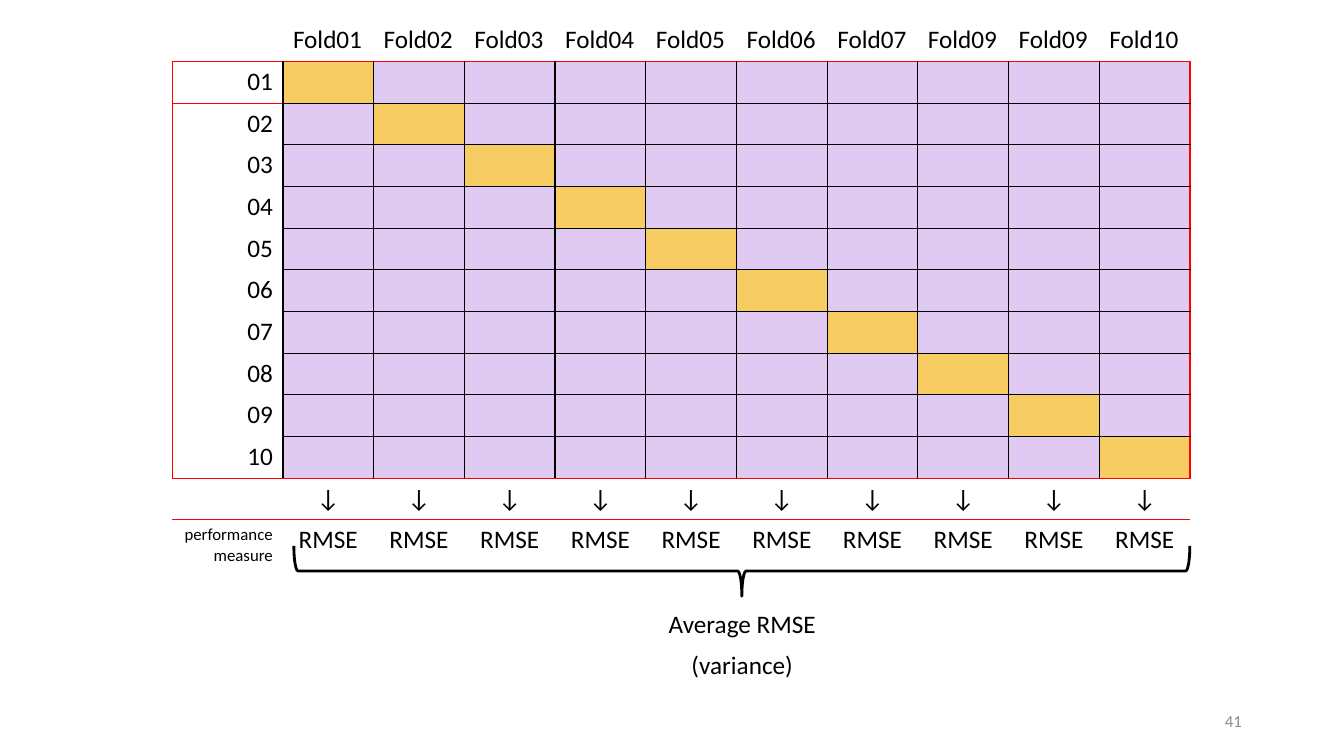
import pptx
import pptx.dml.color
import pptx.enum.shapes
import pptx.enum.text
import pptx.oxml.ns
import pptx.util
from lxml import etree

Cm = pptx.util.Cm
Pt = pptx.util.Pt
RGBColor = pptx.dml.color.RGBColor
Align = pptx.enum.text.PP_ALIGN
Anchor = pptx.enum.text.MSO_ANCHOR
qn = pptx.oxml.ns.qn

COLORS = {
    "text": "000000",
    "grid": "000000",
    "frame": "FF0000",
    "training": "E0CAF2",
    "held_out": "F7CD63",
    "page_number": "8C8C8C",
}
FOLDS = ["Fold01", "Fold02", "Fold03", "Fold04", "Fold05",
         "Fold06", "Fold07", "Fold09", "Fold09", "Fold10"]
COUNT = len(FOLDS)
NO_STYLE = "{2D5ABB26-0587-4C30-8999-92F81FD0307C}"


def write_text(text_frame, text, size, alignment, color="text"):
    text_frame.text = text
    for paragraph in text_frame.paragraphs:
        paragraph.alignment = alignment
        font_format = {"name": "Calibri", "size": Pt(size)}
        for attribute, value in font_format.items():
            setattr(paragraph.font, attribute, value)
            for run in paragraph.runs:
                setattr(run.font, attribute, value)
        for run in paragraph.runs:
            run.font.color.rgb = RGBColor.from_string(COLORS[color])


def draw_borders(cell, borders):
    properties = cell._tc.get_or_add_tcPr()
    for side in "LRTB":
        if side in borders:
            line = etree.SubElement(properties, qn(f"a:ln{side}"), w=str(Pt(1)))
            fill = etree.SubElement(line, qn("a:solidFill"))
            etree.SubElement(fill, qn("a:srgbClr"), val=COLORS[borders[side]])


presentation = pptx.Presentation()
presentation.slide_width = Cm(33.87)
presentation.slide_height = Cm(19.05)
slide = presentation.slides.add_slide(presentation.slide_layouts[6])

table = slide.shapes.add_table(
    COUNT + 3, COUNT + 1, Cm(4.34), Cm(0.5), Cm(25.65), Cm(13.65)).table
table.first_row = False
table.horz_banding = False
table._tbl.tblPr.find(qn("a:tableStyleId")).text = NO_STYLE
for row in table.rows:
    row.height = Cm(1.05)
for column in table.columns:
    column.width = Cm(22.86 / COUNT)
table.columns[0].width = Cm(2.79)

for row in range(COUNT + 3):
    for column in range(COUNT + 1):
        cell = table.cell(row, column)
        text, size, alignment = "", 18, Align.CENTER
        borders, fill = {}, None
        if row == 0:
            borders = {"B": "frame"}
            if column:
                text, alignment = FOLDS[column - 1], Align.LEFT
        elif row <= COUNT:
            borders = {
                "L": "grid" if column else "frame",
                "R": "frame" if column == COUNT else "grid",
            }
            if row == 1 or column:
                borders["T"] = "frame" if row == 1 else "grid"
            if row == COUNT or column:
                borders["B"] = "frame" if row == COUNT else "grid"
            if column:
                fill = "held_out" if row == column else "training"
            else:
                text, alignment = f"{row:02}", Align.RIGHT
        elif row == COUNT + 1:
            borders = {"T": "frame"}
            text = "↓" if column else ""
        elif column:
            text = "RMSE"
        else:
            text, size, alignment = "performance\nmeasure", 12, Align.RIGHT
        write_text(cell.text_frame, text, size, alignment)
        draw_borders(cell, borders)
        if fill:
            cell.fill.solid()
            cell.fill.fore_color.rgb = RGBColor.from_string(COLORS[fill])
        else:
            cell.fill.background()

brace = slide.shapes.add_shape(
    pptx.enum.shapes.MSO_SHAPE.RIGHT_BRACE, Cm(18.06), Cm(3.1), Cm(1.27), Cm(22.58))
brace.rotation = 90
brace.shadow.inherit = False
brace.fill.background()
brace.line.color.rgb = RGBColor.from_string(COLORS["grid"])
brace.line.width = Pt(2)

for text, left, top, width, size, alignment, color in [
    ("Average RMSE", 16.38, 15.21, 4.65, 18, Align.CENTER, "text"),
    ("(variance)", 16.38, 16.23, 4.65, 18, Align.CENTER, "text"),
    ("41", 23.93, 17.65, 7.62, 12, Align.RIGHT, "page_number"),
]:
    box = slide.shapes.add_textbox(Cm(left), Cm(top), Cm(width), Cm(1.02))
    frame_format = {"word_wrap": True, "vertical_anchor": Anchor.MIDDLE}
    for attribute, value in frame_format.items():
        setattr(box.text_frame, attribute, value)
    write_text(box.text_frame, text, size, alignment, color)

presentation.save("out.pptx")
